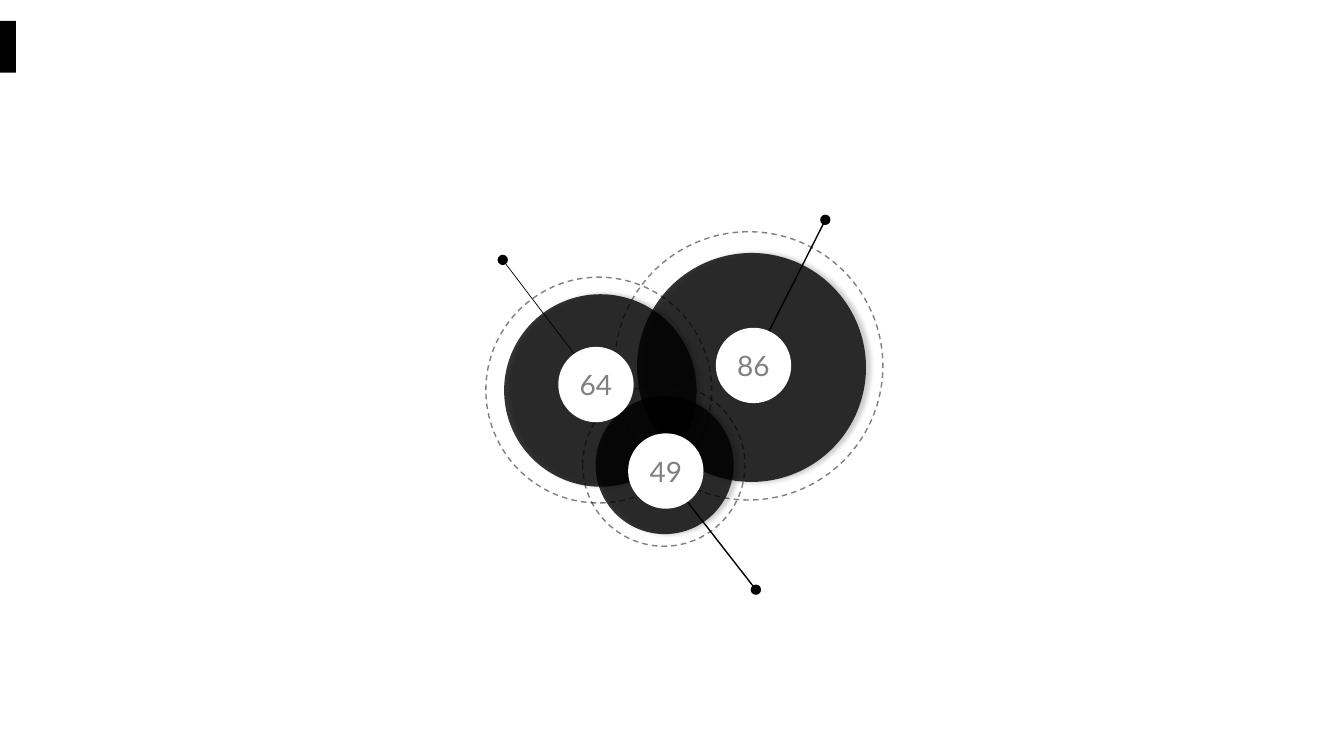
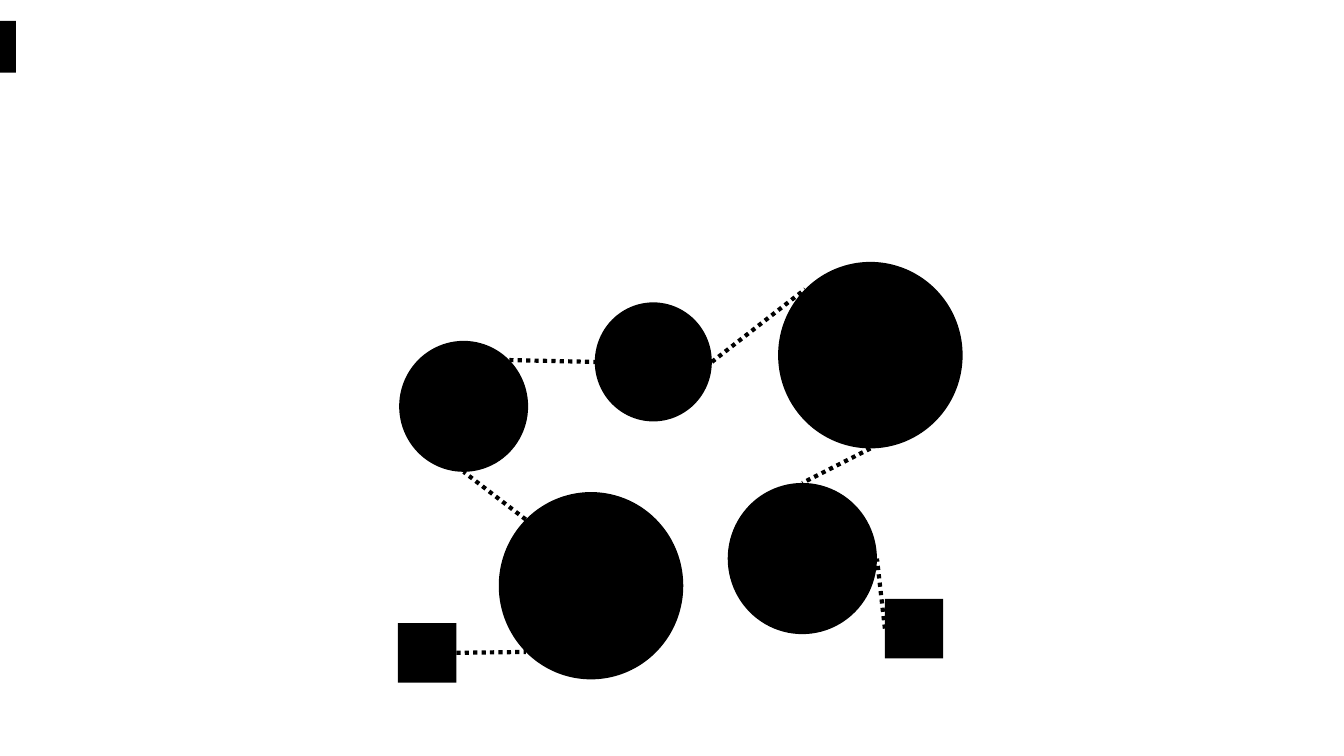
from dataclasses import dataclass
from math import cos, radians, sin

from pptx import Presentation
from pptx.dml.color import RGBColor
from pptx.enum.dml import MSO_LINE
from pptx.enum.shapes import MSO_CONNECTOR, MSO_SHAPE
from pptx.enum.text import MSO_ANCHOR, PP_ALIGN
from pptx.oxml.ns import qn
from pptx.util import Cm, Pt
from lxml import etree

BLACK = RGBColor(0, 0, 0)
WHITE = RGBColor(255, 255, 255)
GREY = RGBColor(128, 128, 128)
FONT = "Lato"
OVAL, RECT = MSO_SHAPE.OVAL, MSO_SHAPE.RECTANGLE
STRAIGHT = MSO_CONNECTOR.STRAIGHT
DASH, DOTS = MSO_LINE.DASH, MSO_LINE.ROUND_DOT
BLANK_LAYOUT = 6

# Angles on an ellipse, clockwise from the right
RIGHT, BOTTOM, BOTTOM_LEFT, LEFT, TOP_LEFT, TOP, TOP_RIGHT = 0, 90, 135, 180, 225, 270, 315
# Connection sites of a rectangle
SITE_LEFT, SITE_RIGHT = 1, 3

Point = tuple[float, float]


@dataclass(frozen=True)
class Box:
    """A frame in centimetres."""
    left: float
    top: float
    width: float
    height: float

    @classmethod
    def around(cls, centre: Point, size: float) -> "Box":
        return cls(centre[0] - size / 2, centre[1] - size / 2, size, size)

    def rim(self, angle: float) -> Point:
        """The point at an angle on the ellipse inside the frame."""
        a = radians(angle)
        return (self.left + self.width / 2 * (1 + cos(a)),
                self.top + self.height / 2 * (1 + sin(a)))


@dataclass(frozen=True)
class Bubble:
    value: str
    disc: Point
    disc_size: float
    ring: Point
    ring_size: float
    badge: Point
    pin_start: Point
    pin_end: Point
    pin_width: float


BADGE_SIZE, DOT_SIZE = 1.9, 0.26
BUBBLES = [
    Bubble("86", (18.94, 9.26), 5.77, (18.87, 9.22), 6.76,
           (18.99, 9.21), (19.18, 8.74), (20.8, 5.54), 1),
    Bubble("49", (16.75, 11.72), 3.48, (16.73, 11.72), 4.09,
           (16.78, 11.87), (16.97, 12.19), (19.05, 14.86), 1),
    Bubble("64", (15.13, 9.84), 4.85, (15.09, 9.83), 5.69,
           (15.02, 9.69), (14.76, 9.3), (12.67, 6.55), 0.5),
]

BAND = Box(0, 0.53, 0.4, 1.3)
LOWER_LEFT = Box(12.57, 12.4, 4.65, 4.72)
UPPER_LEFT = Box(10.06, 8.59, 3.25, 3.3)
MIDDLE = Box(14.99, 7.62, 2.95, 3)
LOWER_RIGHT = Box(18.34, 12.17, 3.76, 3.81)
UPPER_RIGHT = Box(19.61, 6.6, 4.65, 4.7)
CIRCLES = [LOWER_LEFT, UPPER_LEFT, MIDDLE, LOWER_RIGHT, UPPER_RIGHT]
LINKS = [
    (LOWER_LEFT.rim(TOP_LEFT), UPPER_LEFT.rim(BOTTOM)),
    (UPPER_LEFT.rim(TOP_RIGHT), MIDDLE.rim(LEFT)),
    (MIDDLE.rim(RIGHT), UPPER_RIGHT.rim(TOP_LEFT)),
    (UPPER_RIGHT.rim(BOTTOM), LOWER_RIGHT.rim(TOP)),
]
# Square, its connection site, and the circle point it links to
ENDS = [
    (Box(10.03, 15.7, 1.47, 1.5), SITE_RIGHT, LOWER_LEFT.rim(BOTTOM_LEFT)),
    (Box(22.3, 15.09, 1.47, 1.5), SITE_LEFT, LOWER_RIGHT.rim(RIGHT)),
]


def set_alpha(fill, percent: int) -> None:
    """Make a solid fill, or the fill of a line, partly transparent."""
    color = fill._xPr.find(".//" + qn("a:srgbClr"))
    etree.SubElement(color, qn("a:alpha"), val=str(percent * 1000))


def add_shadow(sp) -> None:
    effects = sp._element.spPr.find(qn("a:effectLst"))
    shadow = etree.SubElement(effects, qn("a:outerShdw"), blurRad=str(Pt(3)),
                              dist=str(Pt(3)), dir="0", algn="l", rotWithShape="0")
    color = etree.SubElement(shadow, qn("a:srgbClr"), val=str(BLACK))
    etree.SubElement(color, qn("a:alpha"), val="23000")


def add_filled(shapes, kind, box: Box, color: RGBColor = BLACK):
    sp = shapes.add_shape(kind, Cm(box.left), Cm(box.top), Cm(box.width), Cm(box.height))
    sp.shadow.inherit = False
    sp.fill.solid()
    sp.fill.fore_color.rgb = color
    sp.line.fill.background()
    return sp


def add_line(shapes, start: Point, end: Point, width: float):
    line = shapes.add_connector(STRAIGHT, *(Cm(v) for v in (*start, *end)))
    line.line.color.rgb = BLACK
    line.line.width = Pt(width)
    etree.SubElement(line._element.spPr, qn("a:effectLst"))
    return line


def add_dotted(shapes, start: Point, end: Point):
    line = add_line(shapes, start, end, 3)
    line.line.dash_style = DOTS
    return line


def add_disc_and_ring(shapes, bubble: Bubble) -> None:
    disc = add_filled(shapes, OVAL, Box.around(bubble.disc, bubble.disc_size))
    set_alpha(disc.fill, 80)
    add_shadow(disc)
    ring = add_filled(shapes, OVAL, Box.around(bubble.ring, bubble.ring_size))
    ring.fill.background()
    ring.line.color.rgb = BLACK
    ring.line.width = Pt(1)
    ring.line.dash_style = DASH
    set_alpha(ring.line.fill, 50)


def add_pin(shapes, bubble: Bubble) -> None:
    add_line(shapes, bubble.pin_start, bubble.pin_end, bubble.pin_width)
    add_filled(shapes, OVAL, Box.around(bubble.pin_end, DOT_SIZE))


def add_badge(shapes, bubble: Bubble) -> None:
    sp = add_filled(shapes, OVAL, Box.around(bubble.badge, BADGE_SIZE), WHITE)
    tf = sp.text_frame
    tf.word_wrap = False
    tf.vertical_anchor = MSO_ANCHOR.MIDDLE
    tf.margin_left = tf.margin_right = tf.margin_top = tf.margin_bottom = 0
    p = tf.paragraphs[0]
    p.alignment = PP_ALIGN.CENTER
    r = p.add_run()
    r.text = bubble.value
    r.font.name = FONT
    r.font.size = Pt(20)
    r.font.color.rgb = GREY


def add_slide(prs):
    """Add a blank slide with the band at its left edge."""
    s = prs.slides.add_slide(prs.slide_layouts[BLANK_LAYOUT])
    add_filled(s.shapes, RECT, BAND)
    return s


def build_bubbles(prs) -> None:
    group = add_slide(prs).shapes.add_group_shape()
    for add_part in (add_disc_and_ring, add_pin, add_badge):
        for bubble in BUBBLES:
            add_part(group.shapes, bubble)


def build_chain(prs) -> None:
    shapes = add_slide(prs).shapes
    for circle in CIRCLES:
        add_filled(shapes, OVAL, circle)
    for start, end in LINKS:
        add_dotted(shapes, start, end)
    for box, site, target in ENDS:
        square = add_filled(shapes, RECT, box)
        line = add_dotted(shapes, (box.left, box.top), target)
        line.begin_connect(square, site)


def main() -> None:
    prs = Presentation()
    prs.slide_width, prs.slide_height = Cm(33.87), Cm(19.05)
    build_bubbles(prs)
    build_chain(prs)
    prs.save("out.pptx")


if __name__ == "__main__":
    main()
